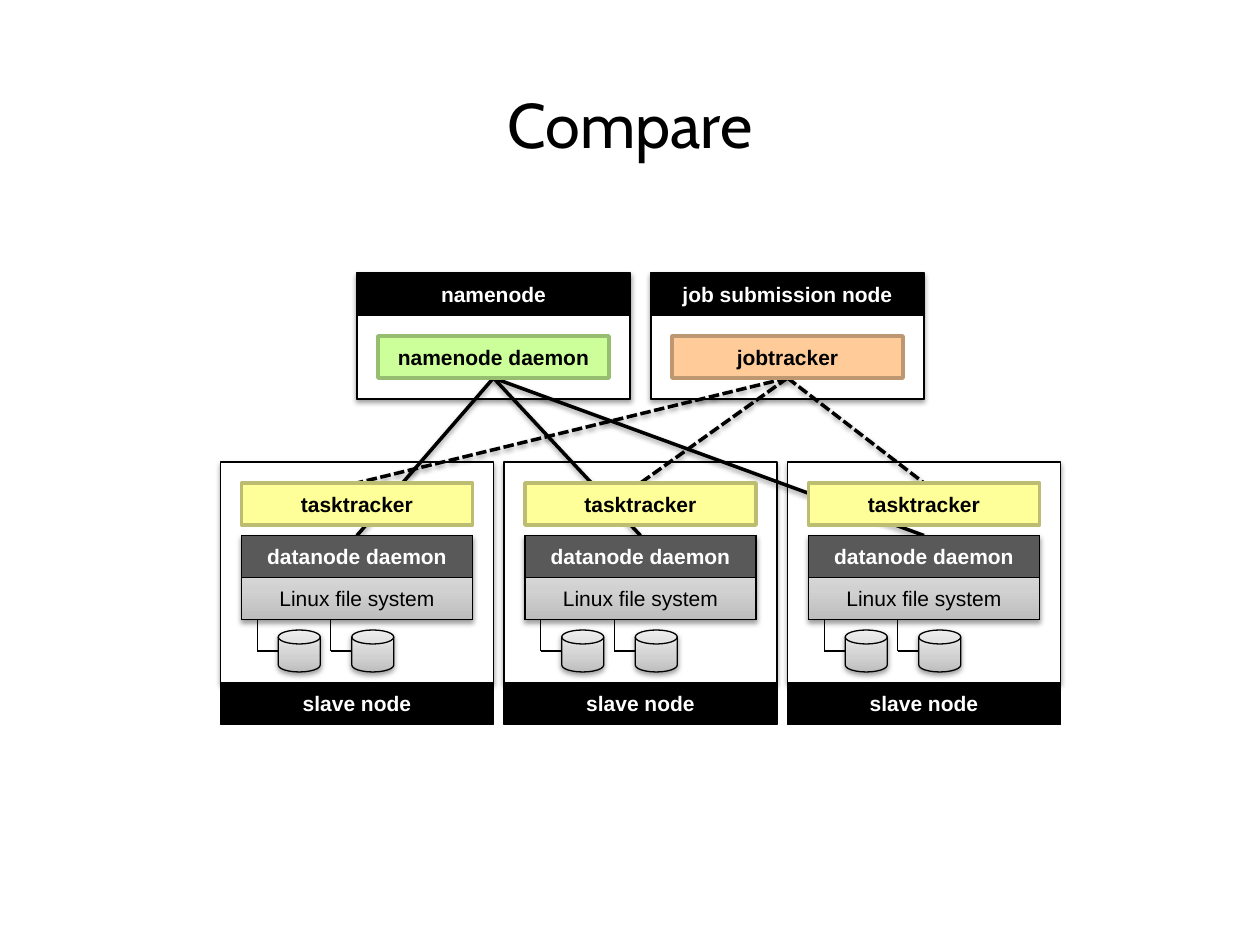
import copy
from dataclasses import dataclass
from typing import Optional

import lxml.etree
import pptx
import pptx.dml.color
import pptx.enum.dml
import pptx.enum.shapes
import pptx.enum.text
import pptx.oxml.ns
import pptx.util

Pt = pptx.util.Pt
qn = pptx.oxml.ns.qn
SHAPE = pptx.enum.shapes.MSO_SHAPE
STRAIGHT = pptx.enum.shapes.MSO_CONNECTOR.STRAIGHT
MIDDLE = pptx.enum.text.MSO_ANCHOR.MIDDLE
CENTER = pptx.enum.text.PP_ALIGN.CENTER

COLORS = {
    "black": "000000", "white": "FFFFFF", "datanode": "595959",
    "task": "FFFF99", "task_edge": "BDBD71",
    "name": "CCFF99", "name_edge": "97BD71",
    "job": "FFCC99", "job_edge": "BD9771",
    "metal_dark": "BDBDBD", "metal_mid": "D1D1D1", "metal_light": "EEEEEE",
}
METAL = ((0, "metal_dark"), (0.35, "metal_mid"), (1, "metal_light"))
NODE_WIDTH, DAEMON_WIDTH, BAR, INSET = 156, 132, 24, 12
MASTER_TOP, MASTER_HEIGHT = 156, 72
SLAVE_TOP, SLAVE_HEIGHT = 264, 126
SLAVE_LEFTS = [126 + 162 * i for i in range(3)]
DATANODE_TOP = 306
DISK_TOP, DISK_OFFSETS = 360, (33, 75)


@dataclass
class Master:
    left: float
    title: str
    daemon: str
    color: str
    dashed: bool


@dataclass
class Style:
    fill: Optional[str] = None
    edge: str = "black"
    weight: float = 0.75
    ink: str = "white"
    bold: bool = True


MASTERS = [
    Master(204, "namenode", "namenode daemon", "name", False),
    Master(372, "job submission node", "jobtracker", "job", True),
]
HEADER = Style("black")
FRAME = Style("white")
OUTLINE = Style()


def rgb(name: str) -> pptx.dml.color.RGBColor:
    """Return the named colour."""
    return pptx.dml.color.RGBColor.from_string(COLORS[name])


def cast_shadow(item) -> None:
    """Give a shape or connector a soft shadow below it."""
    properties = item._element.spPr
    effects = properties.find(qn("a:effectLst"))
    if effects is None:
        effects = lxml.etree.SubElement(properties, qn("a:effectLst"))
    shadow = lxml.etree.SubElement(
        effects, qn("a:outerShdw"), blurRad=str(Pt(3.1)), dist=str(Pt(1.6)),
        dir="5400000", rotWithShape="0")
    color = lxml.etree.SubElement(shadow, qn("a:srgbClr"), val=COLORS["black"])
    lxml.etree.SubElement(color, qn("a:alpha"), val="38000")


def fill_metal(shape) -> None:
    """Fill a shape with the three-stop grey gradient."""
    shape.fill.gradient()
    shape.fill.gradient_angle = 90
    stops = shape._element.spPr.find(qn("a:gradFill")).find(qn("a:gsLst"))
    stops.insert(1, copy.deepcopy(stops[0]))
    for stop, (position, color) in zip(shape.fill.gradient_stops, METAL):
        stop.position = position
        stop.color.rgb = rgb(color)


def write(frame, text: str, font: str, size: float, ink: str, bold: bool) -> None:
    """Write one centred line of text."""
    frame.word_wrap = True
    frame.vertical_anchor = MIDDLE
    paragraph = frame.paragraphs[0]
    paragraph.alignment = CENTER
    run = paragraph.add_run()
    run.text = text
    run.font.name, run.font.size, run.font.bold = font, Pt(size), bold
    run.font.color.rgb = rgb(ink)


def add_box(slide, left: float, top: float, width: float, height: float,
            style: Style, text: str = "", shadow: bool = False,
            kind=SHAPE.RECTANGLE):
    """Draw an outlined shape with an optional label."""
    box = slide.shapes.add_shape(kind, Pt(left), Pt(top), Pt(width), Pt(height))
    box.shadow.inherit = False
    if style.fill == "metal":
        fill_metal(box)
    elif style.fill:
        box.fill.solid()
        box.fill.fore_color.rgb = rgb(style.fill)
    else:
        box.fill.background()
    box.line.color.rgb = rgb(style.edge)
    box.line.width = Pt(style.weight)
    if shadow:
        cast_shadow(box)
    if text:
        write(box.text_frame, text, "Arial", 12, style.ink, style.bold)
    return box


def add_line(slide, x1: float, y1: float, x2: float, y2: float,
             weight: float = 0.75, dashed: bool = False):
    """Draw a straight black line without effects."""
    line = slide.shapes.add_connector(STRAIGHT, Pt(x1), Pt(y1), Pt(x2), Pt(y2))
    line.line.color.rgb = rgb("black")
    line.line.width = Pt(weight)
    if dashed:
        line.line.dash_style = pptx.enum.dml.MSO_LINE.SQUARE_DOT
    lxml.etree.SubElement(line._element.spPr, qn("a:effectLst"))
    return line


def add_link(slide, master: Master, slave_left: float):
    """Draw a shadowed link from a master daemon to a slave daemon."""
    half = INSET + NODE_WIDTH / 2 - INSET
    end_top = SLAVE_TOP + INSET if master.dashed else DATANODE_TOP
    link = add_line(slide, master.left + half, MASTER_TOP + 60,
                    slave_left + half, end_top, 2, master.dashed)
    cast_shadow(link)
    return link


def add_slave(slide, node_left: float):
    """Draw a slave node's contents and return its tasktracker and datanode."""
    left = node_left + INSET
    add_box(slide, left, DATANODE_TOP, DAEMON_WIDTH, 2 * BAR, Style("metal"), shadow=True)
    datanode = add_box(slide, left, DATANODE_TOP, DAEMON_WIDTH, BAR,
                       Style("datanode"), "datanode daemon")
    add_box(slide, left, DATANODE_TOP + BAR, DAEMON_WIDTH, BAR,
            Style(ink="black", bold=False), "Linux file system")
    for offset in DISK_OFFSETS:
        disk_left, middle = node_left + offset, DISK_TOP + BAR / 2
        wire = disk_left - INSET
        add_box(slide, disk_left, DISK_TOP, BAR, BAR, Style("metal"), shadow=True,
                kind=SHAPE.FLOWCHART_MAGNETIC_DISK)
        add_line(slide, wire, DATANODE_TOP + 2 * BAR, wire, middle)
        add_line(slide, wire, middle, disk_left, middle)
    tasktracker = add_box(slide, left, SLAVE_TOP + INSET, DAEMON_WIDTH, BAR,
                          Style("task", "task_edge", 2, "black"), "tasktracker")
    add_box(slide, node_left, SLAVE_TOP + SLAVE_HEIGHT, NODE_WIDTH, BAR, HEADER, "slave node")
    return tasktracker, datanode


def add_master(slide, master: Master):
    """Draw a master node's header and body and return its daemon."""
    add_box(slide, master.left, MASTER_TOP, NODE_WIDTH, BAR, HEADER, master.title)
    add_box(slide, master.left, MASTER_TOP + BAR, NODE_WIDTH, MASTER_HEIGHT - BAR, OUTLINE)
    style = Style(master.color, master.color + "_edge", 2, "black")
    return add_box(slide, master.left + INSET, MASTER_TOP + 36, DAEMON_WIDTH, BAR,
                   style, master.daemon)


def main() -> None:
    """Build the cluster comparison slide."""
    deck = pptx.Presentation()
    deck.slide_width, deck.slide_height = Pt(720), Pt(540)
    slide = deck.slides.add_slide(deck.slide_layouts[6])
    for master in MASTERS:
        add_box(slide, master.left, MASTER_TOP, NODE_WIDTH, MASTER_HEIGHT, FRAME, shadow=True)
    for left in SLAVE_LEFTS:
        add_box(slide, left, SLAVE_TOP, NODE_WIDTH, SLAVE_HEIGHT, FRAME, shadow=True)
    links = [[add_link(slide, master, left) for left in SLAVE_LEFTS] for master in MASTERS]
    slaves = [add_slave(slide, left) for left in SLAVE_LEFTS]
    for master, master_links in zip(MASTERS, links):
        daemon = add_master(slide, master)
        for link, (tasktracker, datanode) in zip(master_links, slaves):
            link.begin_connect(daemon, 2)
            link.end_connect(tasktracker if master.dashed else datanode, 0)
    title = slide.shapes.add_textbox(Pt(0), Pt(43.2), Pt(720), Pt(54))
    write(title.text_frame, "Compare", "Cabin", 36, "black", False)
    deck.save("out.pptx")


if __name__ == "__main__":
    main()
